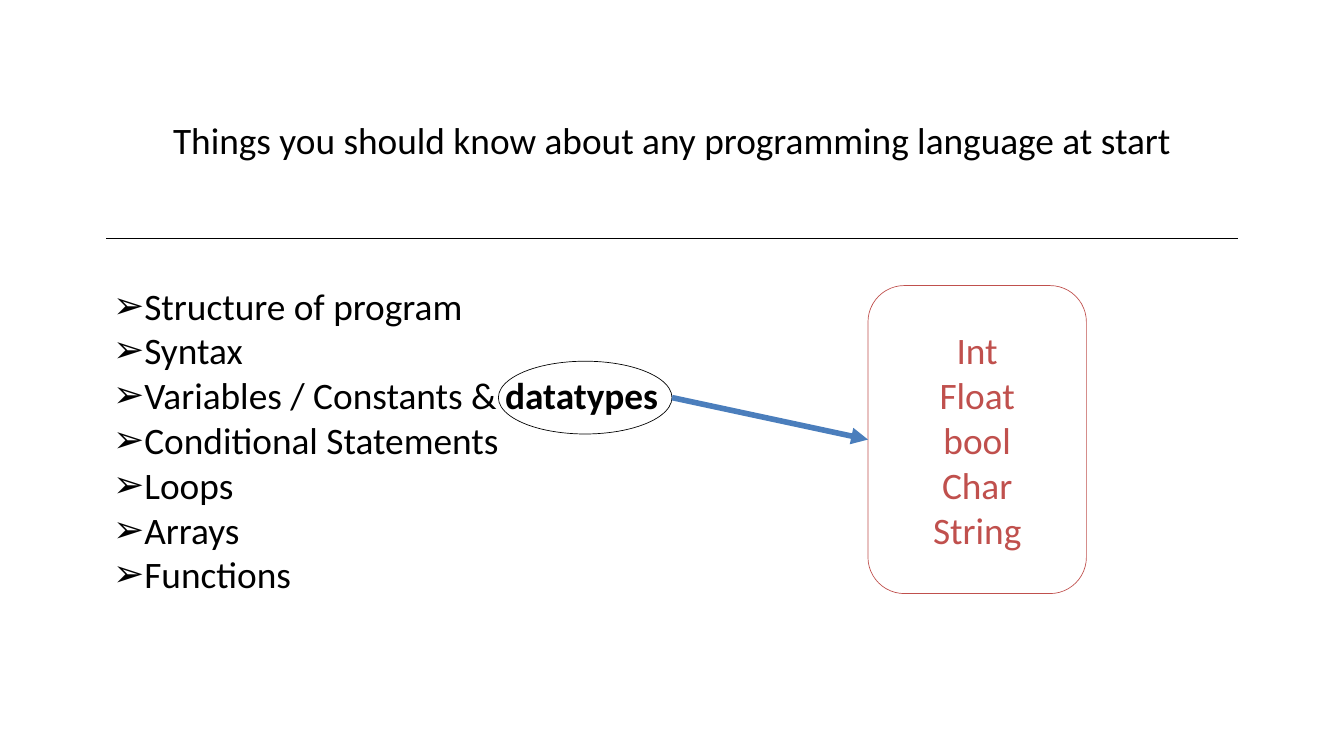
from lxml import etree
from pptx import Presentation
from pptx.dml.color import RGBColor
from pptx.enum import shapes, text
from pptx.oxml import ns
from pptx.util import Pt

PX = 9525  # EMU per px, 96 px to the inch
BLACK, RED, BLUE = "000000", "C0504D", "4B7EBC"
TOPICS = [
    ["Structure of program"],
    ["Syntax"],
    ["Variables / Constants & ", "datatypes"],
    ["Conditional Statements"],
    ["Loops"],
    ["Arrays"],
    ["Functions"],
]
TYPES = [["Int"], ["Float"], ["bool"], ["Char"], ["String"]]


def rgb(value):
    return RGBColor.from_string(value)


def write(sp, paragraphs, color, align, bullet=None):
    """Fill a shape with paragraphs of runs; a second run is bold."""
    tf = sp.text_frame
    frame = {"word_wrap": True, "auto_size": text.MSO_AUTO_SIZE.NONE,
             "vertical_anchor": text.MSO_ANCHOR.MIDDLE}
    for name, value in frame.items():
        setattr(tf, name, value)
    for i, runs in enumerate(paragraphs):
        p = tf.paragraphs[0] if i == 0 else tf.add_paragraph()
        p.alignment = align
        p.space_before = Pt(0)
        if bullet:
            pPr = p._p.get_or_add_pPr()
            pPr.set("marL", str(30 * PX))
            pPr.set("indent", str(-30 * PX))
            etree.SubElement(pPr, ns.qn("a:buChar"), char=bullet)
        for j, words in enumerate(runs):
            r = p.add_run()
            r.text = words
            font = {"name": "Calibri", "size": Pt(40), "bold": j == 1}
            for name, value in font.items():
                setattr(r.font, name, value)
            r.font.color.rgb = rgb(color)


prs = Presentation()
prs.slide_width, prs.slide_height = 1920 * PX, 1080 * PX
s = prs.slides.add_slide(prs.slide_layouts[1])

# Title and topic list
title, body = s.shapes.title, s.placeholders[1]
for sp, box in [(title, (152, 60, 1616, 280)), (body, (152, 380, 840, 496))]:
    sp.left, sp.top, sp.width, sp.height = [v * PX for v in box]
write(title, [["Things you should know about any programming language at start"]],
      BLACK, text.PP_ALIGN.CENTER)
write(body, TOPICS, BLACK, text.PP_ALIGN.LEFT, "➢")

# Ring around "datatypes" and the box that lists them
outlines = []
for kind, box, color in [
    (shapes.MSO_SHAPE.OVAL, (712, 516, 248, 104), BLACK),
    (shapes.MSO_SHAPE.ROUNDED_RECTANGLE, (1240, 408, 312, 440), RED),
]:
    sp = s.shapes.add_shape(kind, *[v * PX for v in box])
    sp.shadow.inherit = False
    sp.fill.background()
    sp.line.color.rgb = rgb(color)
    sp.line.width = Pt(0.75)
    outlines.append(sp)
ring, type_box = outlines
write(type_box, TYPES, RED, text.PP_ALIGN.CENTER)

# Rule under the title and arrow from the ring to the box
lines = []
for ends, color, width in [
    ((152, 340, 1768, 340), BLACK, 0.75),
    ((960, 568, 1240, 628), BLUE, 6),
]:
    line = s.shapes.add_connector(shapes.MSO_CONNECTOR.STRAIGHT, *[v * PX for v in ends])
    line.line.color.rgb = rgb(color)
    line.line.width = Pt(width)
    etree.SubElement(line._element.spPr, ns.qn("a:effectLst"))
    lines.append(line)
rule, arrow = lines
etree.SubElement(arrow.line._get_or_add_ln(), ns.qn("a:tailEnd"), type="triangle")
arrow.end_connect(type_box, 1)

prs.save("out.pptx")
